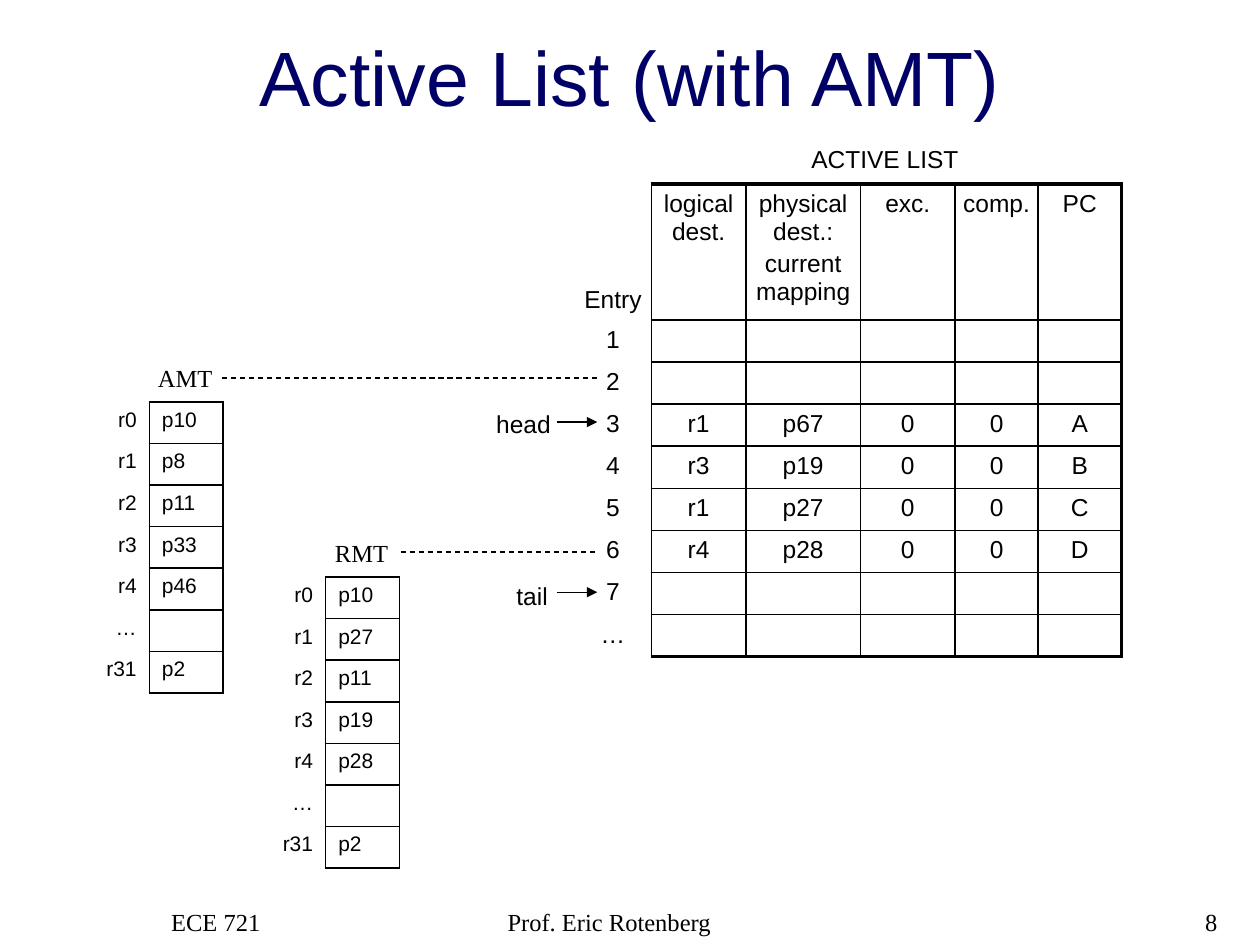
from dataclasses import dataclass

import pptx
import pptx.dml.color
import pptx.enum.dml
import pptx.enum.shapes
import pptx.enum.text
import pptx.oxml.ns
import pptx.util
from lxml import etree
from pptx.util import Inches

ALIGN = pptx.enum.text.PP_ALIGN
ANCHOR = pptx.enum.text.MSO_ANCHOR
qn = pptx.oxml.ns.qn


@dataclass(frozen=True)
class Theme:
    ink: str = "000000"
    navy: str = "000066"
    sans: str = "Arial"
    serif: str = "Times New Roman"
    title: int = 44
    body: int = 14
    small: int = 12
    thin: float = 1
    thick: float = 2.25
    rule: float = 0.75


THEME = Theme()
NO_GRID = "{2D5ABB26-0587-4C30-8999-92F81FD0307C}"
HEADS = ["Entry", "logical dest.", "physical dest.:\ncurrent mapping",
         "exc.", "comp.", "PC"]
ENTRIES = {
    "3": ["r1", "p67", "0", "0", "A"],
    "4": ["r3", "p19", "0", "0", "B"],
    "5": ["r1", "p27", "0", "0", "C"],
    "6": ["r4", "p28", "0", "0", "D"],
}
REGS = ["r0", "r1", "r2", "r3", "r4", "…", "r31"]
AMT = ["p10", "p8", "p11", "p33", "p46", "", "p2"]
RMT = ["p10", "p27", "p11", "p19", "p28", "", "p2"]


def rgb(code):
    return pptx.dml.color.RGBColor.from_string(code)


def style(frame, size, font, color=THEME.ink, align=ALIGN.LEFT):
    for para in frame.paragraphs:
        para.alignment = align
        for run in para.runs:
            run.font.size = pptx.util.Pt(size)
            run.font.name = font
            run.font.color.rgb = rgb(color)


def add_title(slide, text):
    title = slide.shapes.title
    title.left, title.top = Inches(0), Inches(0.18)
    title.width, title.height = Inches(10), Inches(0.84)
    frame = title.text_frame
    frame.text = text
    frame.vertical_anchor = ANCHOR.BOTTOM
    style(frame, THEME.title, THEME.sans, THEME.navy, ALIGN.CENTER)


def add_label(slide, text, box, font, align=ALIGN.LEFT, wrap=False):
    frame = slide.shapes.add_textbox(*map(Inches, box)).text_frame
    frame.word_wrap = wrap
    frame.text = text
    style(frame, THEME.body, font, align=align)


def add_rule(slide, left, right, y, arrow=False):
    """Draw a level line: solid with an arrowhead, or else dashed."""
    line = slide.shapes.add_connector(
        pptx.enum.shapes.MSO_CONNECTOR.STRAIGHT,
        Inches(left), Inches(y), Inches(right), Inches(y))
    line.line.color.rgb = rgb(THEME.ink)
    line.line.width = pptx.util.Pt(THEME.rule)
    if arrow:
        etree.SubElement(line.line._get_or_add_ln(), qn("a:tailEnd"),
                         type="triangle")
    else:
        line.line.dash_style = pptx.enum.dml.MSO_LINE.DASH
    etree.SubElement(line._element.spPr, qn("a:effectLst"))


def set_edges(cell, edges):
    """Give the cell its borders; edges maps L, R, T, B to points."""
    props = cell._tc.get_or_add_tcPr()
    for spot, side in enumerate(s for s in "LRTB" if s in edges):
        width = str(pptx.util.Pt(edges[side]))
        edge = etree.Element(qn(f"a:ln{side}"), w=width)
        fill = etree.SubElement(edge, qn("a:solidFill"))
        etree.SubElement(fill, qn("a:srgbClr"), val=THEME.ink)
        props.insert(spot, edge)


def fill_cell(cell, text, size, align):
    frame = cell.text_frame
    frame.text = text
    style(frame, size, THEME.sans, align=align)
    for para in frame.paragraphs:
        para.space_before = pptx.util.Pt(0.2 * size)
        if not para.runs:
            etree.SubElement(para._p, qn("a:endParaRPr"), sz=str(size * 100))
    cell.fill.background()


def add_grid(slide, spot, cols, rows, data, size, aligns, frame=THEME.thin):
    """Add a table whose first column is a borderless row label."""
    left, top = spot
    table = slide.shapes.add_table(
        len(rows), len(cols), Inches(left), Inches(top),
        Inches(sum(cols)), Inches(sum(rows))).table
    table.first_row = table.horz_banding = False
    table._tbl.tblPr.find(qn("a:tableStyleId")).text = NO_GRID
    for col, width in zip(table.columns, cols):
        col.width = Inches(width)
    for row, height in zip(table.rows, rows):
        row.height = Inches(height)

    last = len(rows) - 1, len(cols) - 1
    for r, line in enumerate(data):
        for c, text in enumerate(line):
            cell = table.cell(r, c)
            fill_cell(cell, text, size, aligns[c])
            if c == 0:
                set_edges(cell, {"R": THEME.thin})
                continue
            set_edges(cell, {
                "L": THEME.thin,
                "R": frame if c == last[1] else THEME.thin,
                "T": frame if r == 0 else THEME.thin,
                "B": frame if r == last[0] else THEME.thin,
            })
    return table


def add_active(slide):
    names = [str(n) for n in range(1, 8)] + ["…"]
    data = [HEADS] + [[n] + ENTRIES.get(n, [""] * 5) for n in names]
    table = add_grid(slide, (4.56, 1.46), [0.61, 0.75, 0.91, 0.75, 0.66, 0.66],
                     [1.08] + [0.333] * len(names), data, THEME.body,
                     [ALIGN.CENTER] * len(HEADS), THEME.thick)
    for cell in table.iter_cells():
        cell.margin_left = cell.margin_right = Inches(0.05)
    table.cell(0, 0).vertical_anchor = ANCHOR.BOTTOM
    add_label(slide, "ACTIVE LIST", (6.34, 1.09, 1.39, 0.33), THEME.sans)


def add_map(slide, name, spot, regs):
    left, top = spot
    add_grid(slide, spot, [0.585] * 2, [0.33] * len(REGS),
             list(zip(REGS, regs)), THEME.small, [ALIGN.RIGHT, ALIGN.LEFT])
    add_label(slide, name, (left + 0.55, top - 0.36, 0.64, 0.34),
              THEME.serif, ALIGN.CENTER)


def main():
    deck = pptx.Presentation()
    deck.slide_width, deck.slide_height = Inches(10), Inches(7.5)
    slide = deck.slides.add_slide(deck.slide_layouts[5])
    add_title(slide, "Active List (with AMT)")

    for text, left, width, align in [
            ("ECE 721", 1.26, 2.08, ALIGN.LEFT),
            ("Prof. Eric Rotenberg", 3.93, 3.17, ALIGN.LEFT),
            ("8", 7.68, 2.08, ALIGN.RIGHT)]:
        add_label(slide, text, (left, 7.15, width, 0.5), THEME.serif, align, True)

    add_active(slide)
    for text, left, top, width, y in [("head", 3.84, 3.2, 0.66, 3.35),
                                      ("tail", 4, 4.56, 0.45, 4.7)]:
        add_label(slide, text, (left, top, width, 0.34), THEME.sans)
        add_rule(slide, 4.42, 4.74, y, arrow=True)

    add_map(slide, "AMT", (0.6, 3.19), AMT)
    add_map(slide, "RMT", (2, 4.58), RMT)
    add_rule(slide, 1.76, 4.74, 3)
    add_rule(slide, 3.18, 4.74, 4.38)
    deck.save("out.pptx")


if __name__ == "__main__":
    main()
